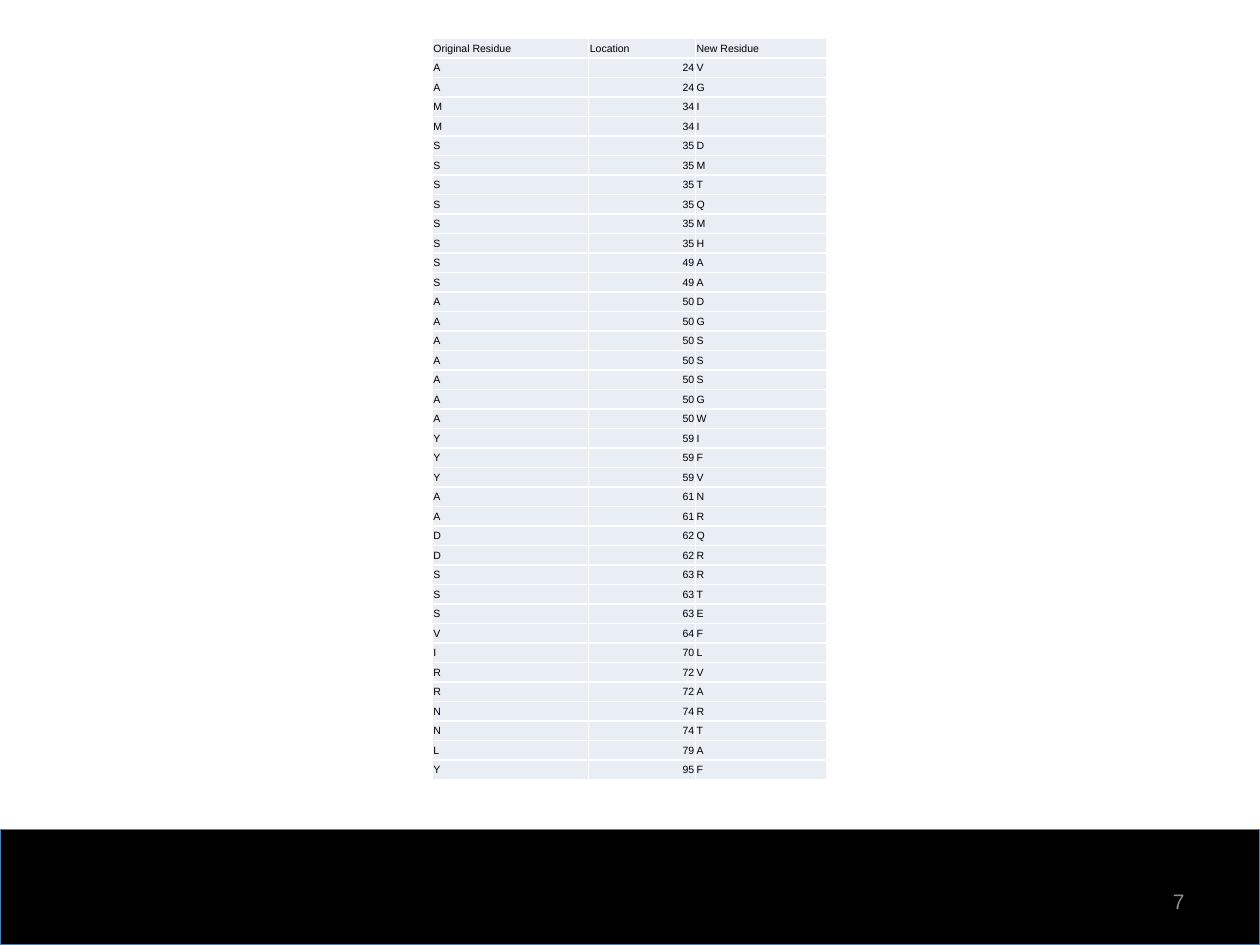
"""Build a slide that tabulates residue substitutions by location."""
from lxml.etree import SubElement
from pptx import Presentation
from pptx.dml.color import RGBColor
from pptx.enum.shapes import MSO_SHAPE
from pptx.enum.text import MSO_ANCHOR, PP_ALIGN
from pptx.oxml.ns import qn
from pptx.util import Pt

HEADINGS = ("Original Residue", "Location", "New Residue")
SUBSTITUTIONS = [
    ("A", 24, "VG"), ("M", 34, "II"), ("S", 35, "DMTQMH"), ("S", 49, "AA"),
    ("A", 50, "DGSSSGW"), ("Y", 59, "IFV"), ("A", 61, "NR"), ("D", 62, "QR"),
    ("S", 63, "RTE"), ("V", 64, "F"), ("I", 70, "L"), ("R", 72, "VA"),
    ("N", 74, "RT"), ("L", 79, "A"), ("Y", 95, "F"),
]
COLUMN_WIDTHS = (89.4, 61, 75.3)
ROW_HEIGHT = 11.15


def rgb(color):
    return RGBColor.from_string(color)


def write(text_frame, wording, size, color, align):
    text_frame.text = wording
    paragraph = text_frame.paragraphs[0]
    paragraph.alignment = align
    font = paragraph.runs[0].font
    font.name = "Arial"
    font.size = Pt(size)
    font.color.rgb = rgb(color)


def add_footer_band(slide):
    band = slide.shapes.add_shape(MSO_SHAPE.RECTANGLE, Pt(0), Pt(474), Pt(720), Pt(66))
    band.shadow.inherit = False
    band.fill.solid()
    band.fill.fore_color.rgb = rgb("000000")
    band.line.color.rgb = rgb("4B7EBC")
    band.line.width = Pt(0.75)


def add_borders(cell, color, width):
    properties = cell._tc.get_or_add_tcPr()
    for side in ("a:lnL", "a:lnR", "a:lnT", "a:lnB"):
        border = SubElement(properties, qn(side), w=str(Pt(width)))
        fill = SubElement(border, qn("a:solidFill"))
        SubElement(fill, qn("a:srgbClr"), val=color)


def format_cell(cell, wording, align):
    cell.margin_left = cell.margin_right = cell.margin_top = Pt(0.7)
    cell.margin_bottom = Pt(0)
    cell.vertical_anchor = MSO_ANCHOR.MIDDLE
    add_borders(cell, "FFFFFF", 1)
    cell.fill.solid()
    cell.fill.fore_color.rgb = rgb("E9EDF4")
    write(cell.text_frame, wording, 6, "000000", align)


def add_residue_table(slide):
    rows = [HEADINGS] + [
        (original, str(location), new)
        for original, location, replacements in SUBSTITUTIONS
        for new in replacements
    ]
    table = slide.shapes.add_table(
        len(rows), len(HEADINGS), Pt(247), Pt(22),
        Pt(sum(COLUMN_WIDTHS)), Pt(ROW_HEIGHT * len(rows)),
    ).table
    table.first_row = table.horz_banding = False
    for column, width in zip(table.columns, COLUMN_WIDTHS):
        column.width = Pt(width)
    for row, entries in zip(table.rows, rows):
        row.height = Pt(ROW_HEIGHT)
        for cell, entry in zip(row.cells, entries):
            align = PP_ALIGN.RIGHT if entry.isdigit() else PP_ALIGN.LEFT
            format_cell(cell, entry, align)


def add_slide_number(slide, number):
    frame = slide.shapes.add_textbox(Pt(516), Pt(500.5), Pt(168), Pt(28.75)).text_frame
    frame.word_wrap = True
    frame.vertical_anchor = MSO_ANCHOR.MIDDLE
    write(frame, number, 12, "8C8C8C", PP_ALIGN.RIGHT)


def main():
    presentation = Presentation()
    presentation.slide_width = Pt(720)
    presentation.slide_height = Pt(540)
    slide = presentation.slides.add_slide(presentation.slide_layouts[6])
    add_footer_band(slide)
    add_residue_table(slide)
    add_slide_number(slide, "7")
    presentation.save("out.pptx")


if __name__ == "__main__":
    main()
